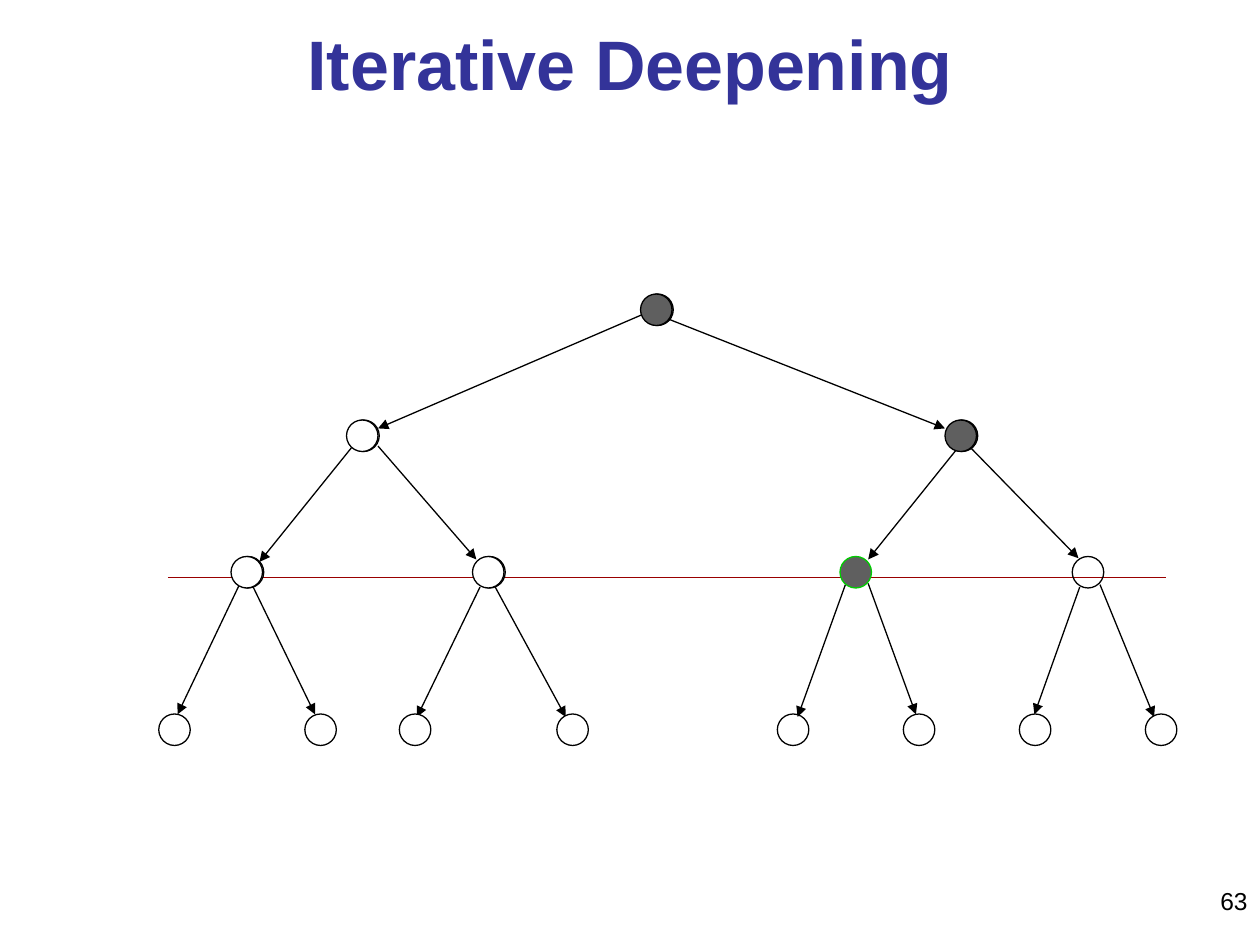
from lxml.etree import SubElement
from pptx import Presentation
from pptx.dml.color import RGBColor
from pptx.enum.shapes import MSO_CONNECTOR, MSO_SHAPE
from pptx.enum.text import MSO_ANCHOR, PP_ALIGN
from pptx.oxml.ns import qn
from pptx.util import Pt

NODE_SIZE = 18
ECHO_OFFSET = 0.72
BLACK, WHITE, GRAY = "000000", "FFFFFF", "5F5F5F"
GREEN, RED, BLUE = "00CC00", "990000", "333399"

LEVEL_TOPS = {"root": 168, "children": 240, "grandchildren": 318, "leaves": 408}
NODES = [
    ("root", 366, {"fill": GRAY, "echo": True}),
    ("children", 198, {"fill": WHITE, "echo": True}),
    ("children", 540, {"fill": GRAY, "echo": True}),
    ("grandchildren", 132, {"fill": WHITE, "echo": True}),
    ("grandchildren", 270, {"fill": WHITE, "echo": True}),
    ("grandchildren", 480, {"fill": GRAY, "outline": GREEN}),
    ("grandchildren", 612.7, {}),
    ("leaves", 90.7, {"fill": WHITE}),
    ("leaves", 174.2, {"fill": WHITE}),
    ("leaves", 228.2, {"fill": WHITE}),
    ("leaves", 318.2, {"fill": WHITE}),
    ("leaves", 444.2, {}),
    ("leaves", 516.2, {}),
    ("leaves", 582.5, {}),
    ("leaves", 654.5, {}),
]
EDGES = [
    (366.5, 180, 216, 244.8),
    (381.6, 182.2, 540, 244.8),
    (201.6, 254.9, 148.3, 321.1),
    (216, 254.9, 272.2, 319.7),
    (546.5, 257, 496.1, 319.7),
    (555.1, 256.3, 616.3, 319),
    (136.8, 334.1, 101.5, 408.2),
    (144.7, 335.5, 180, 408.2),
    (274.3, 335.5, 238.3, 409.7),
    (283, 335.5, 323.3, 409.7),
    (483.1, 334.1, 455.8, 409.7),
    (496.1, 333.4, 523.4, 408.2),
    (617, 335.5, 591.1, 408.2),
    (628.6, 334.1, 659.5, 409.7),
]


def color(hex_value):
    return RGBColor.from_string(hex_value)


def write(frame, text, size=14, ink=BLACK, bold=False, align=PP_ALIGN.LEFT, anchor=MSO_ANCHOR.TOP):
    frame.word_wrap = True
    frame.vertical_anchor = anchor
    paragraph = frame.paragraphs[0]
    paragraph.alignment = align
    run = paragraph.add_run()
    run.text = text
    run.font.name = "Arial"
    run.font.size = Pt(size)
    run.font.bold = bold
    run.font.color.rgb = color(ink)


class TreeSlide:
    """Draws the parts of a search tree on one slide in a shared style."""

    line_width = Pt(0.75)

    def __init__(self, slide):
        self.shapes = slide.shapes

    def text(self, left, top, width, height, content, **style):
        box = self.shapes.add_textbox(Pt(left), Pt(top), Pt(width), Pt(height))
        write(box.text_frame, content, **style)

    def line(self, x1, y1, x2, y2, ink=BLACK, arrow=False):
        connector = self.shapes.add_connector(
            MSO_CONNECTOR.STRAIGHT, Pt(x1), Pt(y1), Pt(x2), Pt(y2))
        connector.line.color.rgb = color(ink)
        connector.line.width = self.line_width
        if arrow:
            SubElement(connector.line._get_or_add_ln(), qn("a:tailEnd"), type="triangle")
        SubElement(connector._element.spPr, qn("a:effectLst"))

    def node(self, left, top, fill=None, outline=BLACK, echo=False):
        if echo:
            self.node(left + ECHO_OFFSET, top, fill, outline)
        circle = self.shapes.add_shape(
            MSO_SHAPE.OVAL, Pt(left), Pt(top), Pt(NODE_SIZE), Pt(NODE_SIZE))
        circle.shadow.inherit = False
        circle.line.color.rgb = color(outline)
        circle.line.width = self.line_width
        if fill:
            circle.fill.solid()
            circle.fill.fore_color.rgb = color(fill)
        else:
            circle.fill.background()


def main():
    deck = Presentation()
    deck.slide_width, deck.slide_height = Pt(720), Pt(540)
    tree = TreeSlide(deck.slides.add_slide(deck.slide_layouts[6]))
    tree.text(552, 502.5, 168, 37.5, "63", align=PP_ALIGN.RIGHT)
    tree.text(12, 0, 696, 72, "Iterative Deepening", size=40, ink=BLUE, bold=True,
              align=PP_ALIGN.CENTER, anchor=MSO_ANCHOR.MIDDLE)
    for edge in EDGES:
        tree.line(*edge, arrow=True)
    tree.line(96, 330, 666, 330, ink=RED)
    for level, left, style in NODES:
        tree.node(left, LEVEL_TOPS[level], **style)
    deck.save("out.pptx")


if __name__ == "__main__":
    main()
